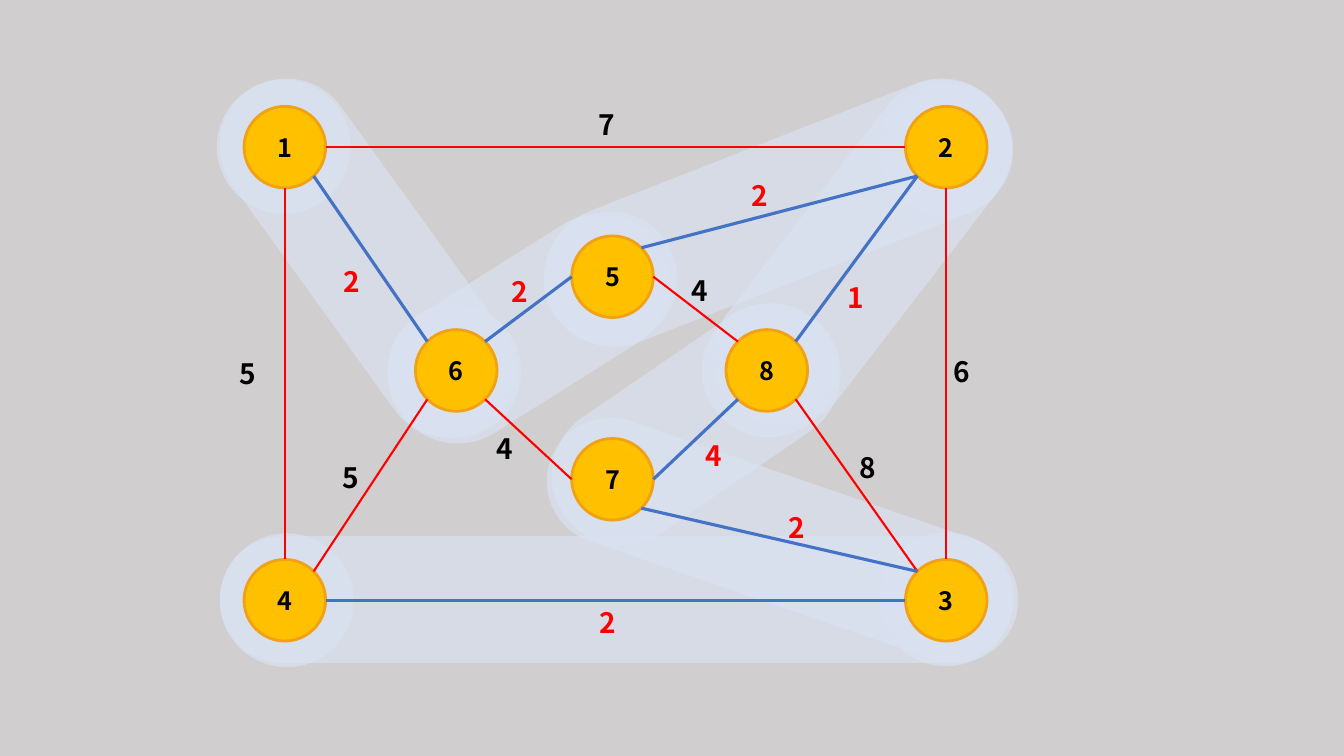
from math import cos, radians, sin

from lxml.etree import SubElement
from pptx import Presentation
from pptx.dml.color import RGBColor
from pptx.enum.shapes import MSO_CONNECTOR as Connector, MSO_SHAPE as Preset
from pptx.enum.text import MSO_ANCHOR as Anchor, MSO_AUTO_SIZE as AutoSize, PP_ALIGN as Align
from pptx.oxml.ns import qn
from pptx.util import Inches, Pt

COLUMNS, ROWS = 133.3, 75
BLANK_LAYOUT = 6
COLORS = {
    "background": "D0CECE",
    "halo": "DAE3F3",
    "node": "FFC000",
    "node_line": "F1A116",
    "tree": "4472C4",
    "other": "FF0000",
    "tree_weight": "FF0000",
    "other_weight": "000000",
    "text": "000000",
}
NODE_SIZE, HALO_SIZE = 8.1, 13.3
LABEL_WIDTH, LABEL_HEIGHT = 3.6, 4.4
ANGLES = {"E": 0, "SE": 45, "S": 90, "SW": 135, "W": 180, "NW": 225, "N": 270, "NE": 315}

LEFT, MIDDLE, RIGHT = 28.25, 60.75, 93.85
TOP, CENTER, BOTTOM = 14.6, 36.75, 59.55
NODES = {
    "1": (LEFT, TOP),
    "2": (RIGHT, TOP),
    "4": (LEFT, BOTTOM),
    "3": (RIGHT, BOTTOM),
    "5": (MIDDLE, 27.45),
    "7": (MIDDLE, 47.55),
    "8": (76.05, CENTER),
    "6": (45.25, CENTER),
}
BANDS = [
    ((29.8, 5.2, 13.3, 40.8), 144.2),
    ((45.5, 17.3, 13.9, 30.6), 57.8),
    ((70.2, -3.3, 13.9, 48.8), 68.6),
    ((78.6, 5.2, 13.9, 39.7), 37.6),
    ((62.1, 26.2, 13.9, 31.8), 55.6),
    ((55.1, 19.9, 12.6, 79.2), 90),
    ((71.1, 29.4, 12.6, 48.3), 109),
]
HALOS = [
    (21.5, 7.9),
    (38.4, 30.2),
    (53.9, 21),
    (87.2, 8.2),
    (69.6, 30.1),
    (21.8, 52.9),
    (87.2, 52.8),
]
EDGES = [
    ("1", "E", "2", "W", "other", "7", (58.4, 10.2)),
    ("1", "SE", "6", "NW", "tree", "2", (33.1, 25.7)),
    ("4", "NE", "6", "SW", "other", "5", (33, 45.2)),
    ("4", "N", "1", "S", "other", "5", (22.8, 34.9)),
    ("4", "E", "3", "W", "tree", "2", (58.5, 59.6)),
    ("6", "SE", "7", "W", "other", "4", (48.3, 42.3)),
    ("6", "NE", "5", "W", "tree", "2", (49.8, 26.7)),
    ("5", "E", "8", "NW", "other", "4", (67.6, 26.6)),
    ("8", "SE", "3", "NW", "other", "8", (84.3, 44.2)),
    ("8", "NE", "2", "SW", "tree", "1", (83.1, 27.3)),
    ("3", "N", "2", "S", "other", "6", (93.6, 34.7)),
    ("7", "E", "8", "SW", "tree", "4", (69, 43)),
    ("5", "NE", "2", "SW", "tree", "2", (73.6, 17.2)),
    ("7", "SE", "3", "NW", "tree", "2", (77.2, 50.2)),
]


def color(name):
    return RGBColor.from_string(COLORS[name])


def write(frame, text, size=18, fill="text", align=Align.LEFT, anchor=Anchor.TOP):
    frame.vertical_anchor = anchor
    paragraph = frame.paragraphs[0]
    paragraph.alignment = align
    run = paragraph.add_run()
    run.text = text
    run.font.name = "Noto Sans CJK KR"
    run.font.size = Pt(size)
    run.font.bold = True
    run.font.color.rgb = color(fill)


class GraphSlide:
    def __init__(self, presentation):
        self.column = presentation.slide_width / COLUMNS
        self.row = presentation.slide_height / ROWS
        self.slide = presentation.slides.add_slide(presentation.slide_layouts[BLANK_LAYOUT])
        self.slide.background.fill.solid()
        self.slide.background.fill.fore_color.rgb = color("background")

    def place(self, left, top, width, height):
        return (round(left * self.column), round(top * self.row),
                round(width * self.column), round(height * self.row))

    def shape(self, preset, box, fill):
        shape = self.slide.shapes.add_shape(preset, *self.place(*box))
        shape.shadow.inherit = False
        shape.fill.solid()
        shape.fill.fore_color.rgb = color(fill)
        return shape

    def glow(self, preset, box, rotation=0):
        shape = self.shape(preset, box, "halo")
        shape.line.fill.background()
        shape.rotation = rotation
        if preset == Preset.ROUNDED_RECTANGLE:
            shape.adjustments[0] = 0.5
        tint = shape.element.spPr.find(".//" + qn("a:srgbClr"))
        SubElement(tint, qn("a:alpha"), val="63000")

    def node(self, name, center):
        left, top = (value - NODE_SIZE / 2 for value in center)
        shape = self.shape(Preset.OVAL, (left, top, NODE_SIZE, NODE_SIZE), "node")
        shape.line.color.rgb = color("node_line")
        shape.line.width = Pt(2)
        write(shape.text_frame, name, align=Align.CENTER, anchor=Anchor.MIDDLE)

    def rim(self, name, side):
        x, y = NODES[name]
        angle = radians(ANGLES[side])
        return (round((x + NODE_SIZE / 2 * cos(angle)) * self.column),
                round((y + NODE_SIZE / 2 * sin(angle)) * self.row))

    def edge(self, begin, end, kind):
        line = self.slide.shapes.add_connector(Connector.STRAIGHT, *begin, *end)
        line.line.color.rgb = color(kind)
        line.line.width = Pt(2.25 if kind == "tree" else 1.5)
        SubElement(line.element.spPr, qn("a:effectLst"))

    def weight(self, text, position, kind):
        box = self.place(*position, LABEL_WIDTH, LABEL_HEIGHT)
        frame = self.slide.shapes.add_textbox(*box).text_frame
        frame.word_wrap = False
        frame.auto_size = AutoSize.SHAPE_TO_FIT_TEXT
        write(frame, text, size=20, fill=f"{kind}_weight")


def main():
    presentation = Presentation()
    presentation.slide_width = Inches(13.33)
    presentation.slide_height = Inches(7.5)
    graph = GraphSlide(presentation)
    for (band, rotation), halo in zip(BANDS, HALOS):
        graph.glow(Preset.ROUNDED_RECTANGLE, band, rotation)
        graph.glow(Preset.OVAL, (*halo, HALO_SIZE, HALO_SIZE))
    for name, center in NODES.items():
        graph.node(name, center)
    for start, start_side, stop, stop_side, kind, weight, position in EDGES:
        graph.edge(graph.rim(start, start_side), graph.rim(stop, stop_side), kind)
        graph.weight(weight, position, kind)
    presentation.save("out.pptx")


if __name__ == "__main__":
    main()
